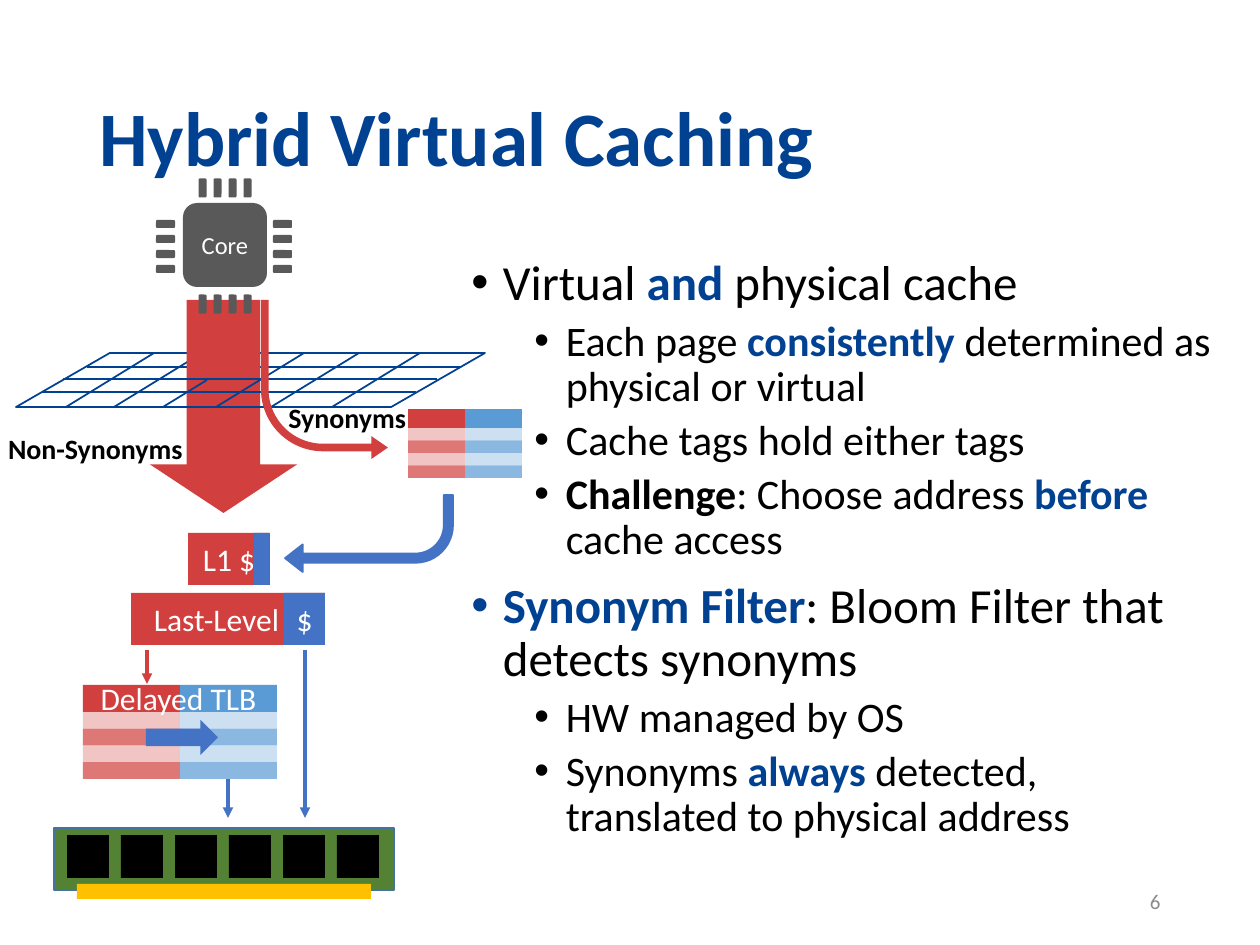
from lxml import etree
from pptx import Presentation
from pptx.dml.color import RGBColor
from pptx.enum.shapes import MSO_CONNECTOR, MSO_SHAPE
from pptx.enum.text import MSO_ANCHOR, PP_ALIGN
from pptx.oxml.ns import qn
from pptx.util import Pt

PX = 914400 / 126
RECT, ROUND = MSO_SHAPE.RECTANGLE, MSO_SHAPE.ROUNDED_RECTANGLE
DOWN, RIGHT_ARROW = MSO_SHAPE.DOWN_ARROW, MSO_SHAPE.RIGHT_ARROW
BENT, SLANTED = MSO_SHAPE.BENT_ARROW, MSO_SHAPE.FLOWCHART_DATA
STRAIGHT = MSO_CONNECTOR.STRAIGHT
TOP, MIDDLE = MSO_ANCHOR.TOP, MSO_ANCHOR.MIDDLE
LEFT, CENTER, RIGHT = PP_ALIGN.LEFT, PP_ALIGN.CENTER, PP_ALIGN.RIGHT
FONT = "Calibri"
NAVY, RED, BLUE, SKY = "004191", "D1403E", "4472C4", "5B9BD5"
GREY, BLACK, WHITE = "595959", "000000", "FFFFFF"

deck = Presentation()
deck.slide_width, deck.slide_height = round(1260 * PX), round(945 * PX)
page = deck.slides.add_slide(deck.slide_layouts[6])


def draw(kind, bounds, fill=None, text="", size=18, color=WHITE, bold=False,
         align=CENTER, anchor=MIDDLE, wrap=True, opacity=100, outline=None):
    """Add a preset shape, or a text box when kind is None."""
    place = [round(length * PX) for length in bounds]
    if kind is None:
        box = page.shapes.add_textbox(*place)
    else:
        box = page.shapes.add_shape(kind, *place)
        box.shadow.inherit = False
        if fill:
            box.fill.solid()
            box.fill.fore_color.rgb = RGBColor.from_string(fill)
        else:
            box.fill.background()
        if outline:
            box.line.color.rgb = RGBColor.from_string(outline)
            box.line.width = Pt(1)
        else:
            box.line.fill.background()
    if opacity < 100:
        tint = box.fill._xPr.find(".//" + qn("a:srgbClr"))
        etree.SubElement(tint, qn("a:alpha"), val=str(opacity * 1000))
    if text:
        frame = box.text_frame
        frame.word_wrap, frame.vertical_anchor = wrap, anchor
        para = frame.paragraphs[0]
        para.alignment = align
        span = para.add_run()
        span.text = text
        span.font.name, span.font.size, span.font.bold = FONT, Pt(size), bold
        span.font.color.rgb = RGBColor.from_string(color)
    return box


def connect(x1, y1, x2, y2, color=NAVY, width=1, arrow=False):
    ends = [round(length * PX) for length in (x1, y1, x2, y2)]
    link = page.shapes.add_connector(STRAIGHT, *ends)
    link.line.color.rgb = RGBColor.from_string(color)
    link.line.width = Pt(width)
    if arrow:
        etree.SubElement(link.line._get_or_add_ln(), qn("a:tailEnd"), type="triangle")
    etree.SubElement(link._element.spPr, qn("a:effectLst"))


# Title and page number
title = draw(None, (87, 50, 1086, 183), text="Hybrid Virtual Caching", size=44,
             color=NAVY, bold=True, align=LEFT)
title.text_frame.paragraphs[0].line_spacing = 0.9
draw(None, (890, 876, 283, 50), text="6", size=12, color="8C8C8C", align=RIGHT)

# Bullets: level, then spans of (text, colour, bold)
bullets = [
    (0, [("Virtual ", BLACK, False), ("and", NAVY, True), (" physical cache", BLACK, False)]),
    (1, [("Each page ", BLACK, False), ("consistently", NAVY, True),
         (" determined as physical or virtual", BLACK, False)]),
    (1, [("Cache tags hold either tags", BLACK, False)]),
    (1, [("Challenge", BLACK, True), (": Choose address ", BLACK, False),
         ("before ", NAVY, True), ("cache access", BLACK, False)]),
    (0, [("Synonym Filter", NAVY, True),
         (": Bloom Filter that detects synonyms", BLACK, False)]),
    (1, [("HW managed by OS", BLACK, False)]),
    (1, [("Synonyms ", BLACK, False), ("always", NAVY, True), (" detected,", BLACK, False),
         ("\n", BLACK, False), ("translated to physical address", BLACK, False)]),
]
body = draw(None, (459, 252, 782, 600)).text_frame
body.word_wrap = True
for index, (level, spans) in enumerate(bullets):
    para = body.add_paragraph() if index else body.paragraphs[0]
    para.level, para.line_spacing = level, 0.9
    if index:
        para.space_before = Pt(5 if level else 10)
    props = para._p.get_or_add_pPr()
    props.set("marL", str(685800 if level else 228600))
    props.set("indent", "-228600")
    etree.SubElement(props, qn("a:buFont"), typeface="Arial")
    etree.SubElement(props, qn("a:buChar"), char="•")
    for text, color, bold in spans:
        if text == "\n":
            para.add_line_break()
            continue
        span = para.add_run()
        span.text = text
        span.font.name, span.font.bold = FONT, bold
        span.font.size = Pt(24 if level else 28)
        span.font.color.rgb = RGBColor.from_string(color)

# Caches
draw(RECT, (188, 533, 82, 52), RED, "L1 $")
draw(RECT, (131, 593, 194, 52), RED, "Last-Level $")
draw(RECT, (254, 533, 15, 52), BLUE)
draw(RECT, (284, 593, 41, 52), BLUE, "$")

# Synonym filter grid, with the request arrow passing through it
draw(SLANTED, (16, 353, 469, 54), outline=NAVY)
connect(202, 353, 114, 407)
connect(87, 367, 461, 367, width=0.75)
connect(251, 353, 207, 380)
request = draw(DOWN, (150, 300, 147, 213), RED)
request.adjustments[0], request.adjustments[1] = 0.5, 0.33
connect(207, 380, 163, 407)
for top_x in (154, 304, 359, 420):
    connect(top_x, 353, top_x - 88, 407)
for left, y in ((63, 379), (42, 392)):
    connect(left, y, left + 374, y, width=0.75)
connect(32, 407, 372, 407)

# Bent arrows to and from the TLB
to_tlb = draw(BENT, (261, 300, 127, 159), RED)
to_tlb._element.spPr.find(qn("a:xfrm")).set("flipV", "1")
from_tlb = draw(BENT, (285, 495, 168, 77), BLUE, outline=BLUE)
from_tlb.rotation = 180
for arrow, values in ((to_tlb, (0.06, 0.09, 0.13, 0.49)),
                      (from_tlb, (0.12, 0.18, 0.23, 0.49))):
    for index, value in enumerate(values):
        arrow.adjustments[index] = value

# Both TLBs: a header over four rows of alternating tint
for left, top, width, header, rows in ((408, 409, 57, 19, 50), (83, 685, 97, 27, 67)):
    for column, color in enumerate((RED, SKY)):
        x = left + column * width
        draw(RECT, (x, top, width, header), color)
        for row in range(4):
            draw(RECT, (x, top + header + row * rows / 4, width, rows / 4), color,
                 opacity=70 if row % 2 else 30)
draw(None, (87, 673, 183, 50), text="Delayed TLB", anchor=TOP, wrap=False)
draw(RIGHT_ARROW, (146, 720, 72, 35), BLUE)

# Memory accesses
for x, start, end, color in ((305, 650, 818, BLUE), (228, 779, 818, BLUE),
                             (147, 650, 684, RED)):
    connect(x, start, x, end, color, 2, arrow=True)

draw(None, (-9, 425, 204, 47), text="Non-Synonyms", size=16, color=BLACK, bold=True,
     align=RIGHT, anchor=TOP)
draw(None, (276, 394, 160, 47), text="Synonyms", size=16, color=BLACK, bold=True,
     align=LEFT, anchor=TOP)

# Memory module
draw(RECT, (54, 828, 340, 62), "548235", outline="43739E")
draw(RECT, (77, 884, 294, 15), "FFC000")
for chip in range(6):
    draw(RECT, (67 + 54 * chip, 835, 42, 43), BLACK)

# Processor core with four pins on each side
draw(ROUND, (183, 203, 84, 84), GREY, "Core", 14)
for pin in range(4):
    for x in (156, 273):
        draw(ROUND, (x, 220 + 15 * pin, 19, 8), GREY)
    for y in (184, 300):
        draw(ROUND, (193 + 15 * pin, y, 19, 8), GREY).rotation = 90

deck.save("out.pptx")
